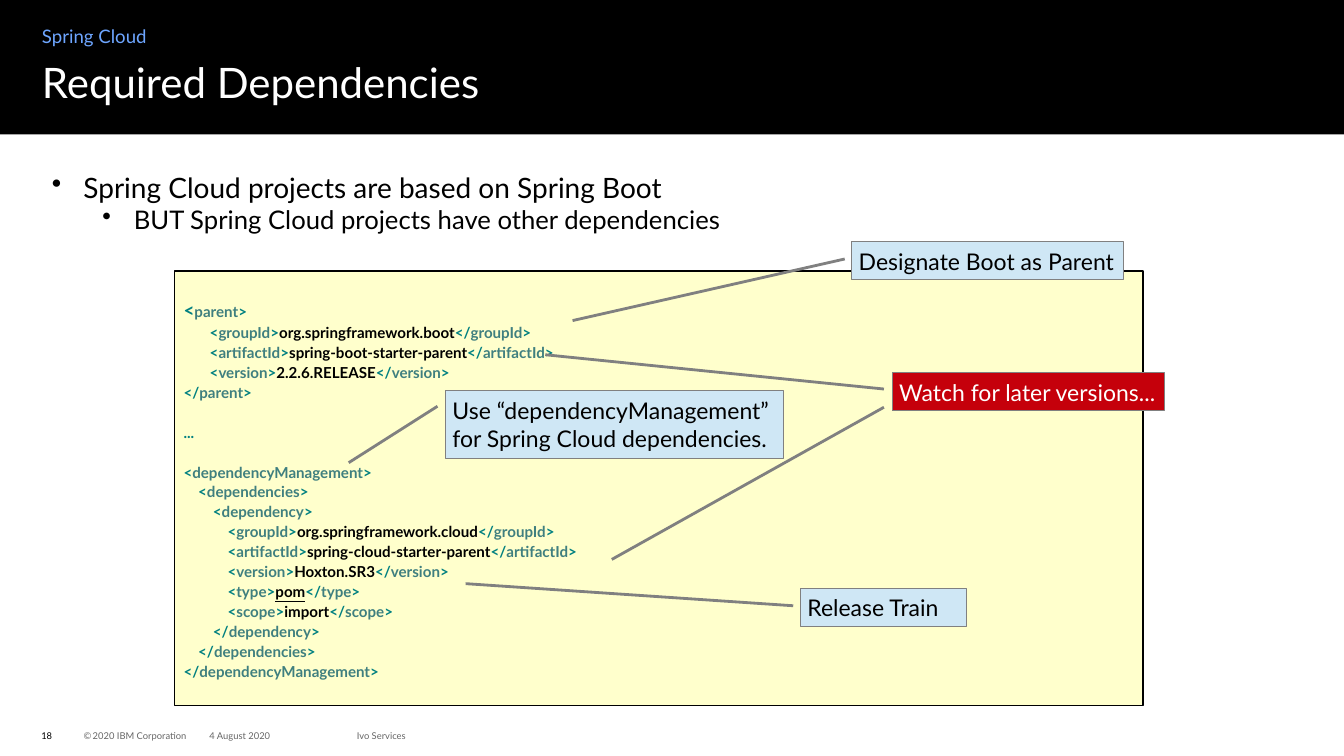
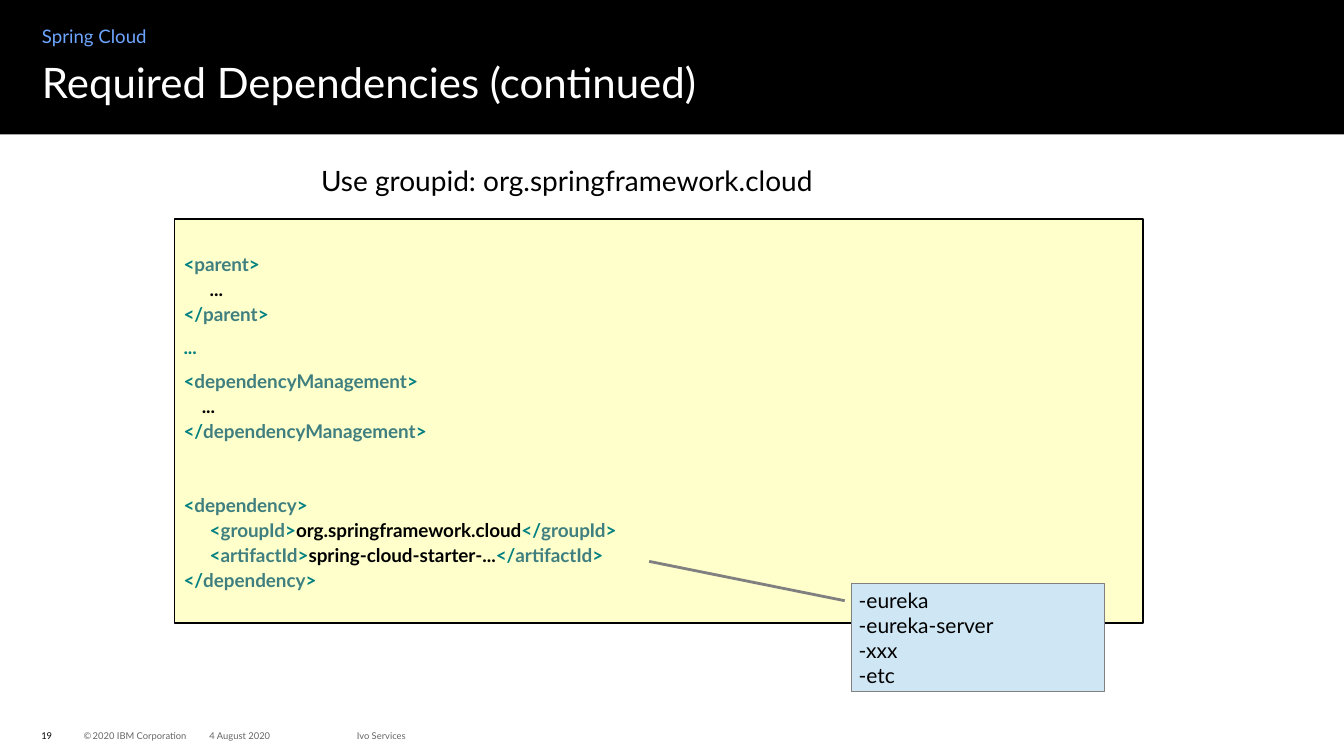
from collections.abc import Iterator
from dataclasses import dataclass

from lxml.etree import SubElement
from pptx import Presentation
from pptx.dml.color import RGBColor
from pptx.enum.shapes import MSO_CONNECTOR, MSO_SHAPE
from pptx.enum.text import MSO_ANCHOR, PP_ALIGN
from pptx.oxml.ns import qn
from pptx.shapes.autoshape import Shape
from pptx.slide import Slide
from pptx.text.text import TextFrame, _Paragraph as Paragraph
from pptx.util import Pt

FONT = "Lato"
BLACK, WHITE = "000000", "FFFFFF"
TOPIC_BLUE, FOOTER_GREY, LINE_GREY = "6EA6FF", "666666", "808080"
CODE_FILL, NOTE_BLUE, WARNING_RED = "FFFFCC", "CFE7F5", "C5000B"
BRACKET_TEAL, TAG_TEAL = "008080", "3F7F7F"
MARGIN = 30
FOOTER_TOP = 518.4
FOOTER_SIZE = 6.7
CODE_LEFT, CODE_WIDTH = 124.6, 691.9
CODE_INDENT, CODE_HANGING = 20.2, 18.7
OPENING_BRACKET_SIZE = 13.5
UNDERLINED_VALUE = "pom"


@dataclass(frozen=True)
class Box:
    left: float
    top: float
    width: float
    height: float


@dataclass(frozen=True)
class Leader:
    start_x: float
    start_y: float
    end_x: float
    end_y: float


@dataclass(frozen=True)
class Callout:
    lines: tuple[str, ...]
    box: Box
    leaders: tuple[Leader, ...]
    size: float = 16.4
    fill: str = NOTE_BLUE
    color: str = BLACK


@dataclass(frozen=True)
class CodeBlock:
    text: str
    gap_before: float = 0


PARENT_CODE = (
    CodeBlock("""<parent>
\t<groupId>org.springframework.boot</groupId>
\t<artifactId>spring-boot-starter-parent</artifactId>
\t<version>2.2.6.RELEASE</version>
</parent>"""),
    CodeBlock("...", 14.3),
    CodeBlock("""<dependencyManagement>
    <dependencies>
        <dependency>
            <groupId>org.springframework.cloud</groupId>
            <artifactId>spring-cloud-starter-parent</artifactId>
            <version>Hoxton.SR3</version>
            <type>pom</type>
            <scope>import</scope>
        </dependency>
    </dependencies>
</dependencyManagement>""", 14.3),
)

STARTER_CODE = (
    CodeBlock("<parent>\n\t...\n</parent>"),
    CodeBlock("...", 6),
    CodeBlock("<dependencyManagement>\n    ...\n</dependencyManagement>", 6),
    CodeBlock("""<dependency>
\t<groupId>org.springframework.cloud</groupId>
\t<artifactId>spring-cloud-starter-...</artifactId>
</dependency>""", 35.6),
)

PARENT_CALLOUTS = (
    Callout(("Watch for later versions...",), Box(637.2, 266.4, 194.4, 27),
            (Leader(389.5, 253.4, 631.4, 277.9), Leader(631.4, 290.9, 437, 399.6)),
            fill=WARNING_RED, color=WHITE),
    Callout(("Designate Boot as Parent",), Box(608.4, 172.8, 194.4, 27),
            (Leader(409, 229, 603.4, 185),)),
    Callout(("Use “dependencyManagement”", "for Spring Cloud dependencies."),
            Box(318.2, 278.6, 241.2, 49), (Leader(249.1, 330.5, 312.5, 290.2),)),
    Callout(("Release Train",), Box(571.7, 420.5, 118.8, 27),
            (Leader(332.6, 416.9, 566.6, 432.7),)),
)

STARTER_CALLOUTS = (
    Callout(("-eureka", "-eureka-server", "-xxx", "-etc"), Box(608.4, 417, 180.4, 77),
            (Leader(463.7, 401, 603.4, 429.1),), size=15),
)


def rgb(color: str) -> RGBColor:
    return RGBColor.from_string(color)


def style(paragraph: Paragraph, size: float, color: str, bold: bool = False) -> None:
    paragraph.font.name = FONT
    paragraph.font.size = Pt(size)
    paragraph.font.bold = bold
    paragraph.font.color.rgb = rgb(color)


def set_insets(frame: TextFrame, horizontal: float, vertical: float) -> None:
    frame.margin_left = frame.margin_right = Pt(horizontal)
    frame.margin_top = frame.margin_bottom = Pt(vertical)


def set_indent(paragraph: Paragraph, left: float, hanging: float) -> None:
    properties = paragraph._p.get_or_add_pPr()
    properties.set("marL", str(Pt(left)))
    properties.set("indent", str(-Pt(hanging)))


def add_paragraph(frame: TextFrame, is_first: bool) -> Paragraph:
    """Return the paragraph a new frame already has, or a further one."""
    return frame.paragraphs[0] if is_first else frame.add_paragraph()


def add_text_frame(slide: Slide, box: Box) -> TextFrame:
    shape = slide.shapes.add_textbox(Pt(box.left), Pt(box.top), Pt(box.width), Pt(box.height))
    shape.text_frame.word_wrap = True
    return shape.text_frame


def add_label(slide: Slide, box: Box, text: str, size: float, color: str,
              anchor: MSO_ANCHOR = MSO_ANCHOR.TOP, line_spacing: float = 1.0) -> Paragraph:
    frame = add_text_frame(slide, box)
    set_insets(frame, 0, 0)
    frame.vertical_anchor = anchor
    paragraph = frame.paragraphs[0]
    paragraph.text = text
    paragraph.line_spacing = line_spacing
    style(paragraph, size, color)
    return paragraph


def add_rectangle(slide: Slide, box: Box, fill: str, line: str | None = None,
                  line_width: float = 0) -> Shape:
    shape = slide.shapes.add_shape(MSO_SHAPE.RECTANGLE, Pt(box.left), Pt(box.top),
                                   Pt(box.width), Pt(box.height))
    shape.shadow.inherit = False
    shape.fill.solid()
    shape.fill.fore_color.rgb = rgb(fill)
    if line:
        shape.line.color.rgb = rgb(line)
        shape.line.width = Pt(line_width)
    else:
        shape.line.fill.background()
    frame = shape.text_frame
    frame.word_wrap = True
    frame.vertical_anchor = MSO_ANCHOR.MIDDLE
    set_insets(frame, 5, 2.9)
    return shape


def add_footer(slide: Slide, number: int) -> None:
    def footer_label(left: float, width: float, text: str, color: str = FOOTER_GREY) -> Paragraph:
        return add_label(slide, Box(left, FOOTER_TOP, width, 14.4), text, FOOTER_SIZE, color,
                         MSO_ANCHOR.MIDDLE)

    footer_label(29.5, 21.6, str(number), BLACK)
    copyright_line = footer_label(59.8, 85, "©")
    space = copyright_line.add_run()
    space.text = " "
    space.font.size = Pt(3.3)
    copyright_line.add_run().text = "2020 IBM Corporation"
    footer_label(149.6, 90, "4 August 2020")
    footer_label(254.9, 150, "Ivo Services")


def add_base_slide(presentation: Presentation, title: str, number: int) -> Slide:
    """Add a slide with the title band and the footer."""
    slide = presentation.slides.add_slide(presentation.slide_layouts[6])
    add_footer(slide, number)
    add_rectangle(slide, Box(0, 0, 960, 96), BLACK)
    add_label(slide, Box(MARGIN, 17.3, 432, 18), "Spring Cloud", 13.3, TOPIC_BLUE,
              line_spacing=1.05)
    add_label(slide, Box(MARGIN, 44.6, 900, 42), title, 30, WHITE, line_spacing=0.9)
    return slide


def code_tokens(line: str) -> Iterator[tuple[str, str]]:
    """Split a line of XML into pieces of text with their colours."""
    plain, *tags = line.split("<")
    if plain:
        yield plain, BLACK if plain[0].isspace() else BRACKET_TEAL
    for tag in tags:
        name, value = tag.split(">")
        yield ("</" if name.startswith("/") else "<"), BRACKET_TEAL
        yield name.lstrip("/"), TAG_TEAL
        yield ">", BRACKET_TEAL
        if value:
            yield value, BLACK


def add_code_line(paragraph: Paragraph, line: str, size: float) -> None:
    set_indent(paragraph, CODE_INDENT, CODE_HANGING)
    paragraph.alignment = PP_ALIGN.LEFT
    paragraph.line_spacing = 1.1
    tabs = SubElement(paragraph._p.get_or_add_pPr(), qn("a:tabLst"))
    SubElement(tabs, qn("a:tab"), pos=str(Pt(CODE_INDENT)), algn="l")
    style(paragraph, size, BRACKET_TEAL, bold=True)
    for text, color in code_tokens(line):
        run = paragraph.add_run()
        run.text = text
        run.font.color.rgb = rgb(color)
        if text == UNDERLINED_VALUE:
            run.font.underline = True


def add_code(slide: Slide, top: float, height: float, blocks: tuple[CodeBlock, ...],
             size: float) -> None:
    box = Box(CODE_LEFT, top, CODE_WIDTH, height)
    frame = add_rectangle(slide, box, CODE_FILL, BLACK, 1).text_frame
    for block_index, block in enumerate(blocks):
        for line_index, line in enumerate(block.text.split("\n")):
            paragraph = add_paragraph(frame, block_index + line_index == 0)
            add_code_line(paragraph, line, size)
            if line_index == 0 and block.gap_before:
                paragraph.space_before = Pt(block.gap_before)
    frame.paragraphs[0].runs[0].font.size = Pt(OPENING_BRACKET_SIZE)


def add_leader(slide: Slide, leader: Leader) -> None:
    connector = slide.shapes.add_connector(
        MSO_CONNECTOR.STRAIGHT, Pt(leader.start_x), Pt(leader.start_y),
        Pt(leader.end_x), Pt(leader.end_y))
    connector.line.color.rgb = rgb(LINE_GREY)
    connector.line.width = Pt(0)
    SubElement(connector._element.spPr, qn("a:effectLst"))


def add_callout(slide: Slide, callout: Callout) -> None:
    for leader in callout.leaders:
        add_leader(slide, leader)
    frame = add_rectangle(slide, callout.box, callout.fill, LINE_GREY).text_frame
    for index, line in enumerate(callout.lines):
        paragraph = add_paragraph(frame, index == 0)
        paragraph.text = line
        paragraph.alignment = PP_ALIGN.LEFT
        style(paragraph, callout.size, callout.color)


def add_bullets(slide: Slide) -> None:
    frame = add_text_frame(slide, Box(MARGIN, 118, 690, 54))
    bullets = (("Spring Cloud projects are based on Spring Boot", 20, 22.5),
               ("BUT Spring Cloud projects have other dependencies", 18.3, 58.5))
    for level, (text, size, indent) in enumerate(bullets):
        paragraph = add_paragraph(frame, level == 0)
        paragraph.text = text
        paragraph.level = level
        set_indent(paragraph, indent, 22.5)
        SubElement(paragraph._p.get_or_add_pPr(), qn("a:buChar"), char="•")
        style(paragraph, size, BLACK)


def main() -> None:
    presentation = Presentation()
    presentation.slide_width, presentation.slide_height = Pt(960), Pt(540)

    slide = add_base_slide(presentation, "Required Dependencies", 18)
    add_bullets(slide)
    add_code(slide, 193.7, 310.3, PARENT_CODE, 10.8)
    for callout in PARENT_CALLOUTS:
        add_callout(slide, callout)

    slide = add_base_slide(presentation, "Required Dependencies (continued)", 19)
    heading = add_label(slide, Box(60, 116.6, 690, 26), "Use groupid: org.springframework.cloud",
                        20, BLACK)
    heading.alignment = PP_ALIGN.CENTER
    add_code(slide, 156.4, 288.7, STARTER_CODE, 13.5)
    for callout in STARTER_CALLOUTS:
        add_callout(slide, callout)

    presentation.save("out.pptx")


if __name__ == "__main__":
    main()
